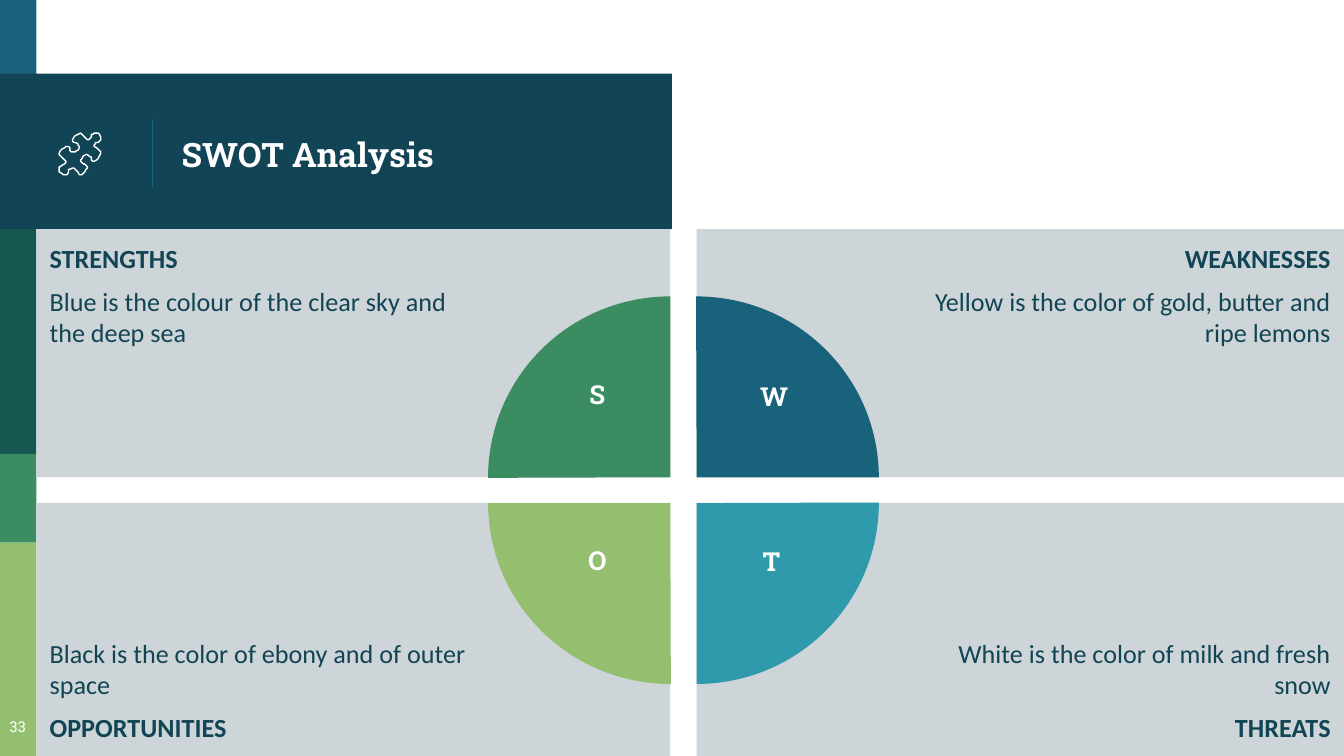
from lxml import etree
from pptx import Presentation
from pptx.dml.color import RGBColor
from pptx.enum.shapes import MSO_CONNECTOR, MSO_SHAPE
from pptx.enum.text import MSO_ANCHOR, PP_ALIGN
from pptx.oxml.ns import qn
from pptx.util import Pt

RECT, PIE, LINE = MSO_SHAPE.RECTANGLE, MSO_SHAPE.PIE, MSO_CONNECTOR.STRAIGHT
LEFT, MID, RIGHT = PP_ALIGN.LEFT, PP_ALIGN.CENTER, PP_ALIGN.RIGHT
TOP, CENTER, LOW = MSO_ANCHOR.TOP, MSO_ANCHOR.MIDDLE, MSO_ANCHOR.BOTTOM
SLAB, BODY = "Roboto Slab", "Calibri"
WHITE, NAVY, BLUE, GREEN = "FFFFFF", "114454", "18637B", "3B8D61"
PINE, LIME, TEAL, GRAY = "165751", "94BF6E", "309AAD", "CED5D8"
WIDE, HIGH, BAR = 720, 405, 19.5
HEAD, BASE = 39.5, 122.75
EDGE_X, EDGE_Y = (359.1, 373.2), (255.7, 269.5)
RADIUS, ARC = (97.6, 96.9), (107.889, 162)

PUZZLE = [
    (71, 106), (73, 106), (74, 105), (75, 104), (75.4, 103), (75.4, 101.5),
    (74.5, 100), (73, 99.3), (71.5, 98.9), (70, 98.9), (69, 99.5), (68.2, 100.5),
    (68, 102), (67.3, 103), (66, 103.7), (65, 103.7), (64, 103), (62.5, 101),
    (61.3, 99.5), (60.5, 99), (59.5, 99), (58, 99.5), (56, 101), (55, 102.5),
    (54, 104), (54, 105), (55, 106), (56, 106.4), (57.5, 106.8), (58.5, 107.5),
    (59.2, 109), (59, 110), (58, 111.5), (57, 112.5), (56, 113), (54, 113.3),
    (53, 113), (52, 112), (51.5, 110.5), (51, 109.3), (50, 108.8), (49, 108.8),
    (47.5, 109.5), (46, 111), (45, 112.5), (44, 114), (44, 115), (44.8, 116),
    (46.5, 117.3), (48.5, 119), (49, 120), (49, 121), (48, 122.3), (46.5, 123),
    (45, 123.5), (44.2, 124.5), (44, 126), (44.5, 127.5), (45.5, 129),
    (47, 129.8), (48.5, 130.2), (50, 129.8), (51, 128.5), (51.4, 126.5),
    (52, 125.7), (53.5, 125), (55, 125.2), (56, 126), (57.5, 128), (58.7, 129.5),
    (60, 130), (61, 129.5), (63, 128), (64.3, 126.5), (65.2, 125), (65.2, 124),
    (64.3, 122.8), (63, 122.3), (61.5, 121.7), (60.5, 120.5), (60.3, 119.3),
    (61, 118), (62, 116.5), (63.5, 115.4), (65, 115), (66.5, 115.5),
    (67.5, 117), (68, 118.8), (69, 119.8), (70, 120), (71.5, 119.3),
    (73, 118), (74.3, 116.5), (75.3, 114.5), (75.2, 113.2), (74, 112),
    (71.5, 110), (70.3, 109), (70.2, 108), (70.7, 106.8),
]

QUADS = [
    (0, 0, "STRENGTHS", "Blue is the colour of the clear sky and the deep sea"),
    (1, 0, "WEAKNESSES", "Yellow is the color of gold, butter and ripe lemons"),
    (0, 1, "OPPORTUNITIES", "Black is the color of ebony and of outer space"),
    (1, 1, "THREATS", "White is the color of milk and fresh snow"),
]
PIES = [(0, 0, GREEN), (1, 0, BLUE), (1, 1, TEAL), (0, 1, LIME)]
MARKS = [("S", 320, 199.4, 26.6), ("W", 414.7, 200.2, 51.8),
         ("O", 320, 288, 32.4), ("T", 413.3, 288.7, 31.7)]


def color(code):
    """Turn a hex string into a colour."""
    return RGBColor.from_string(code)


def write(frame, lines, font=BODY, size=14, ink=NAVY, align=LEFT,
          anchor=TOP, pad=(7.2, 3.6, 7.2, 3.6), gap=0):
    """Fill a text frame with (text, bold) lines."""
    frame.word_wrap = True
    frame.vertical_anchor = anchor
    (frame.margin_left, frame.margin_top,
     frame.margin_right, frame.margin_bottom) = map(Pt, pad)
    for i, (text, bold) in enumerate(lines):
        para = frame.add_paragraph() if i else frame.paragraphs[0]
        para.alignment = align
        para.space_before = Pt(gap if i else 0)
        run = para.add_run()
        run.text = text
        run.font.name, run.font.size, run.font.bold = font, Pt(size), bold
        run.font.color.rgb = color(ink)


class Deck:
    """Hold the style and the current slide."""

    def __init__(self):
        """Open a file with one blank slide."""
        self.file = Presentation()
        self.file.slide_width, self.file.slide_height = Pt(WIDE), Pt(HIGH)
        self.slide = self.file.slides.add_slide(self.file.slide_layouts[6])
        self.shapes = self.slide.shapes

    def shape(self, kind, x, y, w, h, fill):
        """Add a filled shape without outline."""
        item = self.shapes.add_shape(kind, Pt(x), Pt(y), Pt(w), Pt(h))
        item.shadow.inherit = False
        item.fill.solid()
        item.fill.fore_color.rgb = color(fill)
        item.line.fill.background()
        return item

    def text(self, x, y, w, h, lines, **style):
        """Add a text box."""
        box = self.shapes.add_textbox(Pt(x), Pt(y), Pt(w), Pt(h))
        write(box.text_frame, lines, **style)

    def rule(self, x, top, end):
        """Add a thin upright line."""
        line = self.shapes.add_connector(LINE, Pt(x), Pt(top), Pt(x), Pt(end))
        line.line.color.rgb = color(BLUE)
        line.line.width = Pt(0.75)
        etree.SubElement(line._element.spPr, qn("a:effectLst"))

    def pie(self, col, row, fill):
        """Add a quarter disc at an inner corner."""
        turn = 2 * row + (col ^ row)
        rx, ry = RADIUS[::-1] if turn % 2 else RADIUS
        item = self.shape(PIE, EDGE_X[col] - rx, EDGE_Y[row] - ry,
                          2 * rx, 2 * ry, fill)
        item.adjustments[0], item.adjustments[1] = ARC
        item.rotation = 90 * turn

    def icon(self, points):
        """Add a closed white outline from points in hundredths of an inch."""
        path = self.shapes.build_freeform(*points[0], scale=Pt(0.72))
        path.add_line_segments(points[1:], close=True)
        item = path.convert_to_shape()
        item.shadow.inherit = False
        item.fill.background()
        item.line.color.rgb = color(WHITE)
        item.line.width = Pt(0.75)

    def quad(self, col, row, head, body):
        """Add one panel with its heading on the outer side."""
        x, w = (EDGE_X[1], WIDE - EDGE_X[1]) if col else (BAR, EDGE_X[0] - BAR)
        y, h = (EDGE_Y[1], HIGH - EDGE_Y[1]) if row else (BASE, EDGE_Y[0] - BASE)
        lines = [(head, True), (body, False)]
        item = self.shape(RECT, x, y, w, h, GRAY)
        write(item.text_frame, lines[::-1] if row else lines, gap=6,
              align=RIGHT if col else LEFT, anchor=LOW if row else TOP,
              pad=(108, 7.2, 7.2, 7.2) if col else (7.2, 7.2, 108, 7.2))


def main():
    """Build and save the slide."""
    deck = Deck()
    for y, w, end, fill in [(0, BAR, 42, BLUE), (HEAD, 360, BASE, NAVY),
                            (BASE, BAR, 243.2, PINE), (243.2, BAR, 290.7, GREEN),
                            (290.7, BAR, HIGH, LIME)]:
        deck.shape(RECT, 0, y, w, end - y, fill)
    deck.rule(81.6, 64, 100.6)
    deck.text(90.2, 42, 252.7, 80.75, [("SWOT Analysis", True)], font=SLAB,
              size=18, ink=WHITE, anchor=CENTER, pad=(7.2,) * 4)
    deck.text(-4.2, 379.6, 27.4, 25.4, [("33", False)], font=SLAB, size=8,
              ink=WHITE, align=MID, pad=(7.2,) * 4)
    for quad in QUADS:
        deck.quad(*quad)
    for pie in PIES:
        deck.pie(*pie)
    for mark, mid, y, w in MARKS:
        deck.text(mid - w / 2, y, w, 36, [(mark, True)], font=SLAB,
                  ink=WHITE, align=MID)
    deck.icon(PUZZLE)
    deck.file.save("out.pptx")


if __name__ == "__main__":
    main()
